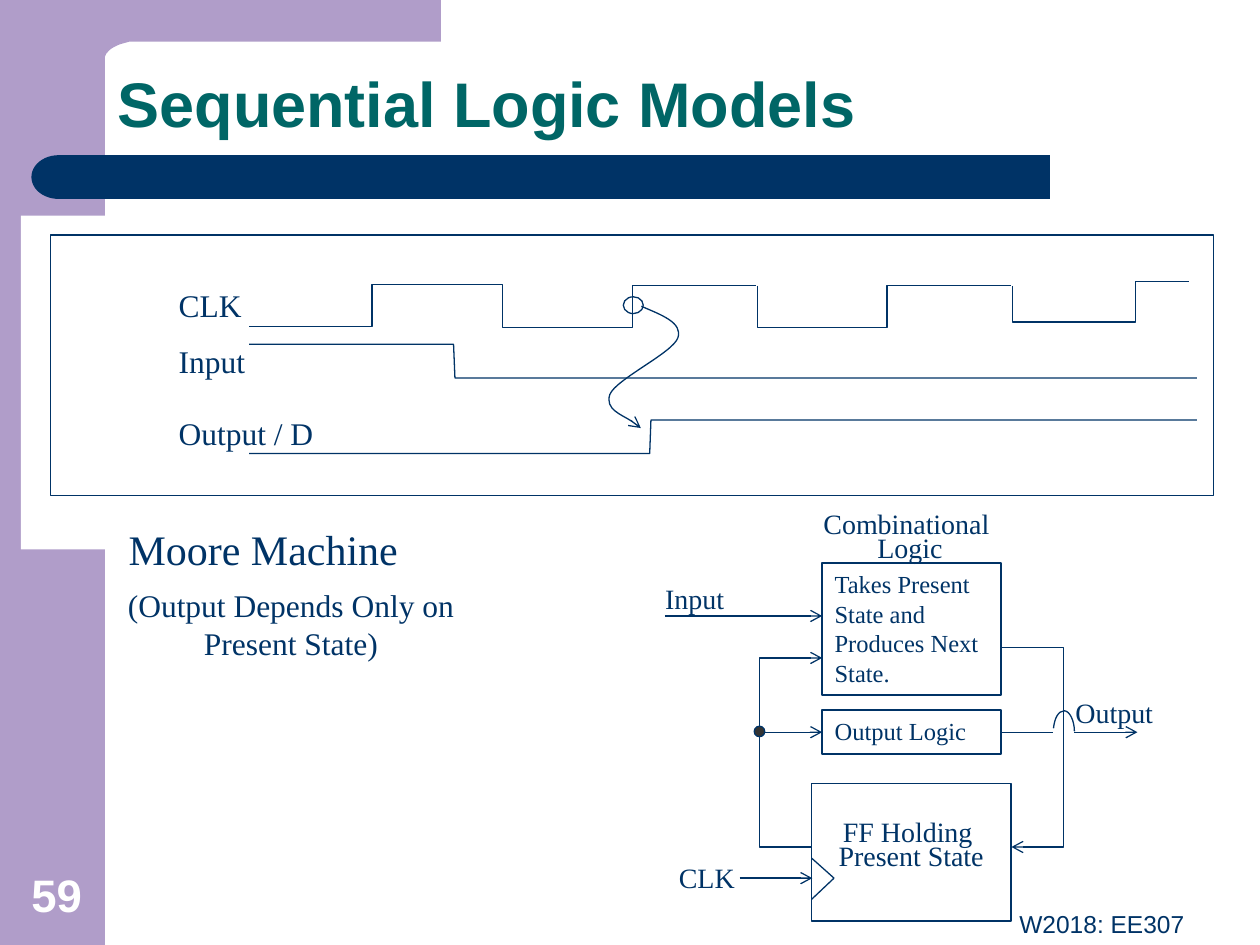
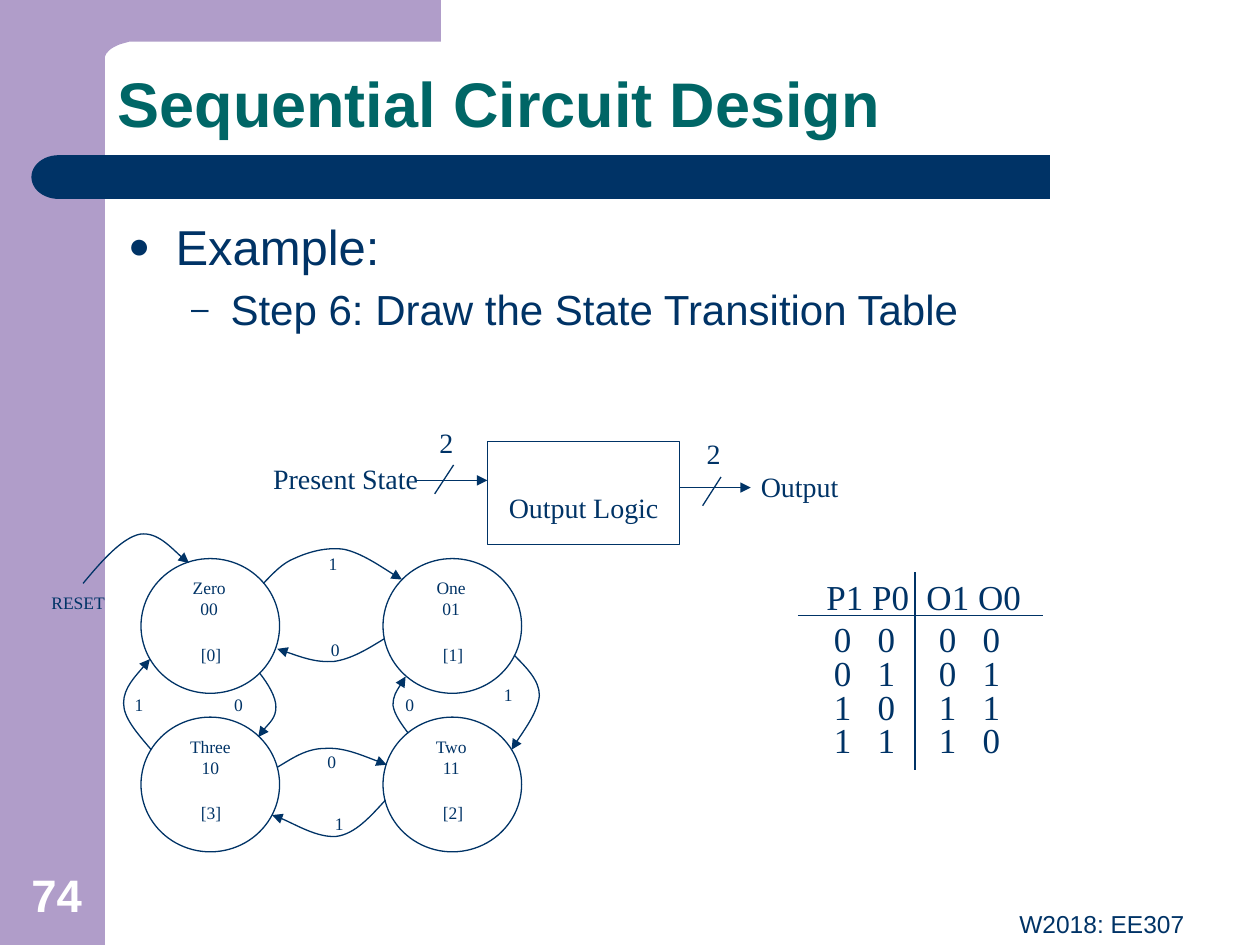
import pptx
import pptx.util
import pptx.dml.color
import pptx.enum.shapes
import pptx.enum.text
import pptx.oxml.ns
import lxml.etree

NAVY, TEAL, LILAC, WHITE, DARK = "003366", "006666", "B09DC9", "FFFFFF", "333333"
SANS, SERIF = "Arial", "Times New Roman"
KIND = pptx.enum.shapes.MSO_SHAPE
LINE = pptx.enum.shapes.MSO_CONNECTOR.STRAIGHT
ALIGN = pptx.enum.text.PP_ALIGN
ANCHOR = pptx.enum.text.MSO_ANCHOR


def dress(item, fill=None, line=None, width=0.75, tip=None, words=None, size=16, ink=NAVY,
          face=SERIF, bold=False, align=ALIGN.LEFT, lead=1, anchor=ANCHOR.TOP, inset=3.6):
    color = pptx.dml.color.RGBColor.from_string
    if line:
        item.line.color.rgb = color(line)
        item.line.width = pptx.util.Pt(width)
    else:
        item.line.fill.background()
    if tip:
        stroke = item.line._get_or_add_ln()
        lxml.etree.SubElement(stroke, pptx.oxml.ns.qn("a:tailEnd"), type=tip)
    if hasattr(item, "fill"):
        item.shadow.inherit = False
        if fill:
            item.fill.solid()
            item.fill.fore_color.rgb = color(fill)
        else:
            item.fill.background()
    else:
        lxml.etree.SubElement(item._element.spPr, pptx.oxml.ns.qn("a:effectLst"))
    if words:
        frame = item.text_frame
        frame.text = words
        frame.word_wrap = True
        frame.auto_size = pptx.enum.text.MSO_AUTO_SIZE.NONE
        frame.vertical_anchor = anchor
        frame.margin_top = pptx.util.Pt(inset)
        for para in frame.paragraphs:
            para.alignment = align
            para.line_spacing = lead
            for run in para.runs:
                run.font.name = face
                run.font.size = pptx.util.Pt(size)
                run.font.bold = bold
                run.font.color.rgb = color(ink)
    return item


def trace(shapes, start, *steps):
    dots = [step[i:i + 2] for step in steps for i in range(0, len(step), 2)]
    pen = shapes.build_freeform(*map(pptx.util.Pt, start))
    pen.add_line_segments([tuple(map(pptx.util.Pt, dot)) for dot in dots], close=False)
    shape = pen.convert_to_shape()
    legs = iter(list(shape._element.iter(pptx.oxml.ns.qn("a:lnTo"))))
    for step in steps:
        leg = next(legs)
        if len(step) == 6:
            bend = lxml.etree.Element(pptx.oxml.ns.qn("a:cubicBezTo"))
            leg.addprevious(bend)
            for part in (leg, next(legs), next(legs)):
                bend.append(part[0])
                part.getparent().remove(part)
    return shape


deck = pptx.Presentation()
deck.slide_width, deck.slide_height = pptx.util.Pt(720), pptx.util.Pt(540)

pages = []
for name, number in (("Sequential Logic Models", "59"), ("Sequential Circuit Design", "74")):
    slide = deck.slides.add_slide(deck.slide_layouts[5])
    shapes = slide.shapes
    pages.append(shapes)
    band = shapes.add_shape(KIND.RECTANGLE, *map(pptx.util.Pt, (0, 0, 60, 540)))
    dress(band, fill=LILAC)
    corner = trace(shapes, (36, 0), (252, 0), (252, 23.8), (83.5, 23.8), (74, 23.8),
                   (72, 24.5, 69, 25, 67, 26), (65, 27, 63, 28, 62, 29.3),
                   (60.8, 30.2, 60.3, 31.5, 60, 32.5), (60, 36), (36, 36), (36, 0))
    dress(corner, fill=LILAC)
    bar = shapes.add_shape(KIND.ROUNDED_RECTANGLE, *map(pptx.util.Pt, (48, 88.7, 552, 25)))
    bar.adjustments[0] = 0
    dress(bar, fill=NAVY)
    cap = shapes.add_shape(KIND.FLOWCHART_DELAY, *map(pptx.util.Pt, (18, 88.7, 31, 25)))
    cap._element.spPr.xfrm.set("flipH", "1")
    dress(cap, fill=NAVY)
    title = shapes.title
    title.left, title.top, title.width, title.height = map(pptx.util.Pt, (60, 24, 624, 60))
    form = lxml.etree.SubElement(title._element.spPr, pptx.oxml.ns.qn("a:prstGeom"),
                                 prst="roundRect")
    guides = lxml.etree.SubElement(form, pptx.oxml.ns.qn("a:avLst"))
    lxml.etree.SubElement(guides, pptx.oxml.ns.qn("a:gd"), name="adj", fmla="val 21700")
    dress(title, words=name, size=36, ink=TEAL, face=SANS, bold=True, lead=0.9,
          anchor=ANCHOR.BOTTOM)
    cap._element.addnext(title._element)
    box = shapes.add_textbox(*map(pptx.util.Pt, (0, 491.8, 64.8, 38.2)))
    dress(box, words=number, size=26, ink=WHITE, face=SANS, bold=True, align=ALIGN.CENTER,
          anchor=ANCHOR.BOTTOM)
    box = shapes.add_textbox(*map(pptx.util.Pt, (246, 516.2, 438, 23.8)))
    dress(box, words="W2018: EE307", size=14, face=SANS, align=ALIGN.RIGHT)

moore, design = pages

patch = moore.add_shape(KIND.RECTANGLE, *map(pptx.util.Pt, (12, 123.2, 66, 190.8)))
dress(patch, fill=WHITE)
panel = moore.add_shape(KIND.RECTANGLE, *map(pptx.util.Pt, (28.8, 134.4, 664.6, 149)))
dress(panel, line=NAVY)

for wave in (
    ((142.4, 186.5), (212.6, 186.5), (212.6, 162.7), (287, 162.7), (287, 180)),
    ((432, 163.3), (361.4, 163.3), (361.4, 187), (287, 187), (287, 170)),
    ((577.6, 163.3), (506.9, 163.3), (506.9, 187), (432.7, 187), (432.7, 169)),
    ((578.4, 163.5), (578.4, 184), (648.7, 184), (648.7, 160.7), (679.7, 160.7)),
    ((142.4, 196.7), (259.2, 196.7), (260, 216), (684, 216)),
    ((142.4, 259.2), (371.3, 259.2), (372, 240), (684, 240)),
):
    dress(trace(moore, *wave), line=NAVY)

cause = trace(moore, (366.5, 175), (378, 180, 390.2, 184.3, 387.4, 193),
              (384.5, 201.6, 352, 216.7, 348.5, 225.4), (345.6, 234, 362.9, 240.5, 366.2, 244.6))
dress(cause, line=NAVY, tip="arrow")
ring = moore.add_shape(KIND.OVAL, *map(pptx.util.Pt, (356.2, 169.6, 11.4, 9.6)))
dress(ring, line=NAVY)

for words, x, y, w, h, size, align, lead in (
    ("CLK", 95, 159.8, 72.7, 28.8, 18, ALIGN.LEFT, 1),
    ("Input", 95, 192.2, 72.7, 28.8, 18, ALIGN.LEFT, 1),
    ("Output / D", 95, 233.3, 102.2, 28.8, 18, ALIGN.LEFT, 1),
    ("Moore Machine", 66.4, 295.4, 192.2, 36, 24, ALIGN.LEFT, 1),
    ("(Output Depends Only on Present State)", 65.5, 331.2, 201.6, 51, 18, ALIGN.CENTER, 1),
    ("Combinational\n Logic", 457.9, 291.4, 120.2, 34.6, 16, ALIGN.CENTER, 0.7),
    ("Input", 373, 329, 62.6, 26.6, 16, ALIGN.LEFT, 1),
    ("Output", 607.5, 393.8, 62.6, 26.6, 16, ALIGN.LEFT, 1),
    ("CLK", 380.9, 488.2, 62.6, 26.6, 16, ALIGN.LEFT, 1),
):
    box = moore.add_textbox(*map(pptx.util.Pt, (x, y, w, h)))
    dress(box, words=words, size=size, align=align, lead=lead)

store = moore.add_shape(KIND.RECTANGLE, *map(pptx.util.Pt, (463.7, 447.9, 114, 78.5)))
dress(store, line=NAVY, words="FF Holding \nPresent State", align=ALIGN.CENTER, lead=0.7,
      inset=23)
logic = moore.add_shape(KIND.RECTANGLE, *map(pptx.util.Pt, (469.8, 405.9, 102.2, 25)))
dress(logic, line=NAVY, width=1, words="Output Logic", size=14)
comb = moore.add_shape(KIND.RECTANGLE, *map(pptx.util.Pt, (469.8, 321.9, 102.2, 75.4)))
dress(comb, line=NAVY, width=1, words="Takes Present State and Produces Next State.", size=14)

for route in (
    ((572, 370), (607.7, 370), (607.7, 484), (578, 484)),
    ((463.7, 484), (434, 484), (434, 376), (469.8, 376)),
):
    dress(trace(moore, *route), line=NAVY, tip="arrow")
hop = trace(moore, (602, 416.2), (602.6, 410.4, 604.8, 406.2, 608.2, 406.2),
            (611.3, 406.2, 614, 412, 614, 418))
dress(hop, line=NAVY)

for x, y, right, low, tip, start, end in (
    (432.7, 163.3, 432.7, 186, None, None, None),
    (463.7, 490.3, 476.6, 501.8, None, None, None),
    (476.6, 501.8, 463.7, 514, None, None, None),
    (380, 352, 469.8, 352, "arrow", None, None),
    (434, 418.4, 469.8, 418.4, "arrow", None, logic),
    (572, 418.4, 602, 418.4, None, logic, None),
    (614, 418.4, 650, 418.4, "arrow", None, None),
    (422.6, 501.8, 464.2, 501.8, "arrow", None, None),
):
    wire = moore.add_connector(LINE, *map(pptx.util.Pt, (x, y, right, low)))
    if start:
        wire.begin_connect(start, 3)
    if end:
        wire.end_connect(end, 1)
    dress(wire, line=NAVY, tip=tip)
dot = moore.add_shape(KIND.OVAL, *map(pptx.util.Pt, (431, 415, 6, 6)))
dress(dot, fill=DARK, line=NAVY)

body = design.add_textbox(*map(pptx.util.Pt, (66.2, 120.2, 605.5, 359.3)))
dress(body, words="Example:\nStep 6: Draw the State Transition Table", size=28, face=SANS)
for para, level, left, hang, mark, size in zip(
        body.text_frame.paragraphs, (0, 1), (27, 58.5), (27, 22.5), "●–", (28, 24)):
    para.level = level
    para.space_before = pptx.util.Pt(4.8 * level)
    para.runs[0].font.size = pptx.util.Pt(size)
    props = para._p.get_or_add_pPr()
    props.set("marL", str(pptx.util.Pt(left)))
    props.set("indent", str(-pptx.util.Pt(hang)))
    tint = lxml.etree.SubElement(props, pptx.oxml.ns.qn("a:buClr"))
    lxml.etree.SubElement(tint, pptx.oxml.ns.qn("a:srgbClr"), val=NAVY)
    lxml.etree.SubElement(props, pptx.oxml.ns.qn("a:buSzPct"), val="75000")
    lxml.etree.SubElement(props, pptx.oxml.ns.qn("a:buFont"), typeface=SANS)
    lxml.etree.SubElement(props, pptx.oxml.ns.qn("a:buChar"), char=mark)

logic = design.add_shape(KIND.RECTANGLE, *map(pptx.util.Pt, (278.5, 252.4, 110, 58.6)))
dress(logic, line=NAVY, words="Output Logic", align=ALIGN.CENTER, lead=0.75, inset=32.4)

for x, y, right, low, width, tip in (
    (237.6, 274.5, 278.5, 274.5, 0.75, "triangle"),
    (388.4, 278.6, 429, 278.6, 0.75, "triangle"),
    (259.2, 265.7, 248.4, 282.2, 0.75, None),
    (412, 272.6, 401.5, 289, 0.75, None),
    (456, 351.8, 596.2, 351.8, 1, None),
    (522.7, 327, 522.7, 440, 1, None),
):
    wire = design.add_connector(LINE, *map(pptx.util.Pt, (x, y, right, low)))
    dress(wire, line=NAVY, width=width, tip=tip)

for words, x, y, w, h, size in (
    ("Present State", 149, 260, 116, 26.6, 16),
    ("Output", 427.7, 265, 86.4, 26.6, 16),
    ("2", 244, 239.8, 21.6, 26.6, 16),
    ("2", 396.7, 246.2, 21.6, 26.6, 16),
    ("RESET", 22.3, 334.8, 49.7, 19.4, 10),
    ("0", 224.6, 393.1, 22.3, 19.4, 10),
    ("0", 182, 361.4, 20.2, 19.4, 10),
    ("0", 126.7, 393.1, 30.2, 19.4, 10),
    ("0", 180, 425.5, 28, 19.4, 10),
    ("1", 280.8, 387.4, 26.6, 41, 10),
    ("1", 180.7, 312.5, 20.9, 19.4, 10),
    ("1", 69.8, 393.1, 29.5, 41, 10),
    ("1", 184.3, 460.8, 29.5, 41, 10),
):
    box = design.add_textbox(*map(pptx.util.Pt, (x, y, w, h)))
    dress(box, words=words, size=size)

for name, code, value, x, y, dx, w in (
    ("Zero", "00", "[0]", 80.6, 319.2, 14.4, 49),
    ("One", "01", "[1]", 218.9, 319.2, 14.4, 49),
    ("Two", "11", "[2]", 218.9, 409.8, 14.4, 49),
    ("Three", "10", "[3]", 80.6, 409.8, 15.1, 49),
):
    for words, left, top, wide, high in (
            (name + "\n" + code, dx, 7, w, 31), (value, 4.3, 45, 71.3, 19.4)):
        box = design.add_textbox(*map(pptx.util.Pt, (x + left, y + top, wide, high)))
        dress(box, words=words, size=10, align=ALIGN.CENTER)
    ring = design.add_shape(KIND.OVAL, *map(pptx.util.Pt, (x, y, 79.2, 77)))
    dress(ring, line=NAVY)

for arc in (
    ((150.5, 333.4), (156.2, 327.6, 161.3, 321.8, 168.5, 319),
     (176.4, 315.4, 186.5, 312.5, 196.6, 313.9), (206.6, 316, 224.6, 328.3, 229.7, 331.2)),
    ((293.8, 374.4), (301, 381.6, 308.2, 388.8, 308.2, 397.4),
     (307.4, 406.8, 295.2, 423.4, 292.3, 428.4)),
    ((220.3, 457.2), (211.7, 466.6, 203, 476.6, 192.2, 478),
     (181.4, 478.8, 162, 467.3, 155.5, 465.8)),
    ((86.4, 428.4), (78.5, 419, 70.6, 410.4, 70.6, 401.8),
     (70.6, 393, 82.8, 380.2, 85.7, 376.6)),
    ((219.6, 365), (210.2, 370.8, 200.9, 376.6, 190.8, 378),
     (180, 378.7, 169.2, 374.4, 158.4, 370.8)),
    ((233.3, 419), (229, 413.3, 225.4, 408.2, 224.6, 403.2),
     (224.6, 397.4, 228.2, 392.4, 231.8, 386.6)),
    ((158.4, 438.5), (167, 433.4, 175, 427.7, 185.8, 427.7),
     (195.8, 427, 208, 432, 221, 437)),
    ((148.3, 384.5), (153.4, 391, 157.7, 398.2, 157.7, 404),
     (157.7, 410.4, 149, 418.3, 147.6, 421.2)),
    ((47.5, 333.4), (58.3, 320.4, 69.8, 307.4, 80, 305.3),
     (90, 303.8, 103.7, 319, 108, 321.8)),
):
    dress(trace(design, *arc), line=NAVY, tip="triangle")

for rows, x, y, w, h, lead, stops in (
    (("P1 P0 O1 O0",), 445, 325.4, 167, 31, 1, (26.1, 57.2, 86.7)),
    (("0 0 0 0", "0 1 0 1", "1 0 1 1", "1 1 1 0"), 449.3, 354.2, 170, 84.2, 0.8, (25, 60, 85)),
):
    box = design.add_textbox(*map(pptx.util.Pt, (x, y, w, h)))
    dress(box, words="\n".join(rows).replace(" ", "\t"), size=20, lead=lead)
    box.text_frame.margin_left = pptx.util.Pt(27.2)
    for para in box.text_frame.paragraphs:
        tabs = lxml.etree.SubElement(para._p.get_or_add_pPr(), pptx.oxml.ns.qn("a:tabLst"))
        for stop in stops:
            lxml.etree.SubElement(tabs, pptx.oxml.ns.qn("a:tab"), pos=str(pptx.util.Pt(stop)),
                                  algn="l")

deck.save("out.pptx")
